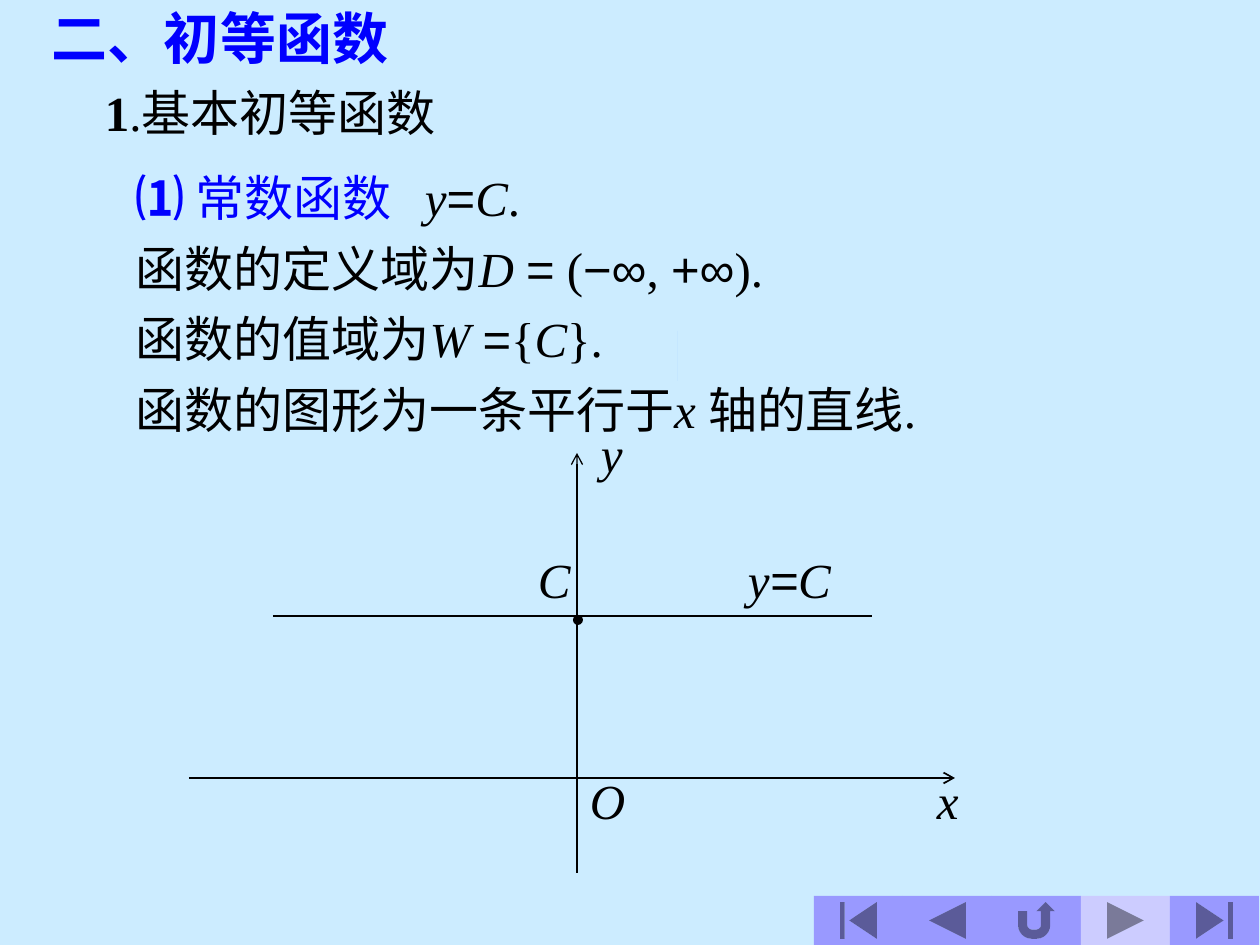
from lxml import etree
from pptx import Presentation
from pptx import util as u
from pptx.dml.color import RGBColor
from pptx.enum import shapes, text
from pptx.oxml.ns import qn

PX = u.Inches(1) // 126
SKY = RGBColor(0xCC, 0xEC, 0xFF)
BLACK = RGBColor(0, 0, 0)
BLUE = RGBColor(0, 0, 0xFF)
PALE_BLUE = RGBColor(0x99, 0xCC, 0xFF)
VIOLET = RGBColor(0x99, 0x99, 0xFF)
PALE_VIOLET = RGBColor(0xCC, 0xCC, 0xFF)
SERIF, SANS = "Times New Roman", "Arial"

prs = Presentation()
prs.slide_width, prs.slide_height = 1260 * PX, 945 * PX
slide = prs.slides.add_slide(prs.slide_layouts[5])
slide.background.fill.solid()
slide.background.fill.fore_color.rgb = SKY


def add_runs(paragraph, wording, size=28, color=BLACK, bold=False, italic=False, font=SERIF):
    run = paragraph.add_run()
    run.text = wording
    run.font.size = u.Pt(size)
    run.font.name = font
    run.font.bold = bold
    run.font.italic = italic
    run.font.color.rgb = color


def place(box, left, top, width, height, wrap=True, inset=0):
    box.left, box.top, box.width, box.height = (n * PX for n in (left, top, width, height))
    frame = box.text_frame
    frame.word_wrap = wrap
    frame.auto_size = text.MSO_AUTO_SIZE.NONE
    frame.margin_left = frame.margin_right = inset * PX
    frame.margin_top = frame.margin_bottom = 0
    frame.paragraphs[0].alignment = text.PP_ALIGN.LEFT
    return frame


# Title and subheading
title = place(slide.shapes.title, 39, 0, 1166, 74, inset=13)
title.vertical_anchor = text.MSO_ANCHOR.MIDDLE
add_runs(title.paragraphs[0], "二、初等函数", size=32, color=BLUE, bold=True)

subheading = place(slide.shapes.add_textbox(0, 0, 0, 0), 105, 82, 343, 59, wrap=False)
add_runs(subheading.paragraphs[0], "1", bold=True)
add_runs(subheading.paragraphs[0], ".基本初等函数")

# Properties of the constant function
ITALIC, SYMBOL = {"italic": True}, {"font": SANS}
properties = [
    [("⑴ ", {"color": BLUE, "bold": True}), ("常数函数", {"color": BLUE}), ("\t", {}),
     ("y", ITALIC), ("=", SYMBOL), ("C", ITALIC), (".", {})],
    [("函数的定义域为", {}), ("D ", ITALIC), ("=", SYMBOL), (" (", {}),
     ("−∞", SYMBOL), (", ", {}), ("+∞", SYMBOL), (").", {})],
    [("函数的值域为", {}), ("W ", ITALIC), ("=", SYMBOL), ("{", {}), ("C", ITALIC), ("}.", {})],
    [("函数的图形为一条平行于", {}), ("x ", ITALIC), ("轴的直线.", {})],
]
body = place(slide.shapes.add_textbox(0, 0, 0, 0), 136, 156, 1088, 282)
for i, pieces in enumerate(properties):
    line = body.paragraphs[0] if i == 0 else body.add_paragraph()
    line.line_spacing = 1.2
    if i == 0:
        tabs = etree.SubElement(line._p.get_or_add_pPr(), qn("a:tabLst"))
        etree.SubElement(tabs, qn("a:tab"), pos=str(289 * PX), algn="l")
    for wording, style in pieces:
        add_runs(line, wording, **style)

# Graph: y = C, x axis, y axis
for x1, y1, x2, y2, weight, arrow in [
    (273, 616, 872, 616, 0.75, None),
    (189, 778, 955, 778, 1, "tailEnd"),
    (577, 453, 577, 873, 0.75, "headEnd"),
]:
    stroke = slide.shapes.add_connector(
        shapes.MSO_CONNECTOR.STRAIGHT, x1 * PX, y1 * PX, x2 * PX, y2 * PX)
    stroke.line.color.rgb = BLACK
    stroke.line.width = u.Pt(weight)
    if arrow:
        etree.SubElement(stroke.line._get_or_add_ln(), qn(f"a:{arrow}"), type="arrow")
    etree.SubElement(stroke._element.spPr, qn("a:effectLst"))

# Graph labels
for left, top, width, pieces in [
    (588, 417, 42, ["y"]),
    (577, 764, 53, ["O"]),
    (924, 764, 42, ["x"]),
    (735, 543, 149, ["y", "=", "C"]),
    (525, 544, 73, ["C"]),
]:
    label = place(slide.shapes.add_textbox(0, 0, 0, 0), left, top, width, 67, inset=13)
    label.margin_top = 6 * PX
    for piece in pieces:
        add_runs(label.paragraphs[0], piece, italic=True, font=SANS if piece == "=" else SERIF)

# Intercept dot, hairline and navigation buttons
KIND = shapes.MSO_SHAPE
figures = [
    (KIND.OVAL, 573, 615, 10, 10, BLACK),
    (KIND.RECTANGLE, 678, 331, 0, 50, PALE_BLUE),
]
for i, (kind, color) in enumerate([
    (KIND.ACTION_BUTTON_BEGINNING, VIOLET),
    (KIND.ACTION_BUTTON_BACK_OR_PREVIOUS, VIOLET),
    (KIND.ACTION_BUTTON_RETURN, VIOLET),
    (KIND.ACTION_BUTTON_FORWARD_OR_NEXT, PALE_VIOLET),
    (KIND.ACTION_BUTTON_END, VIOLET),
]):
    figures.append((kind, 814 + 89 * i, 896, 89, 49, color))
for kind, left, top, width, height, color in figures:
    figure = slide.shapes.add_shape(kind, left * PX, top * PX, width * PX, height * PX)
    figure.shadow.inherit = False
    figure.fill.solid()
    figure.fill.fore_color.rgb = color
    figure.line.fill.background()

prs.save("out.pptx")
